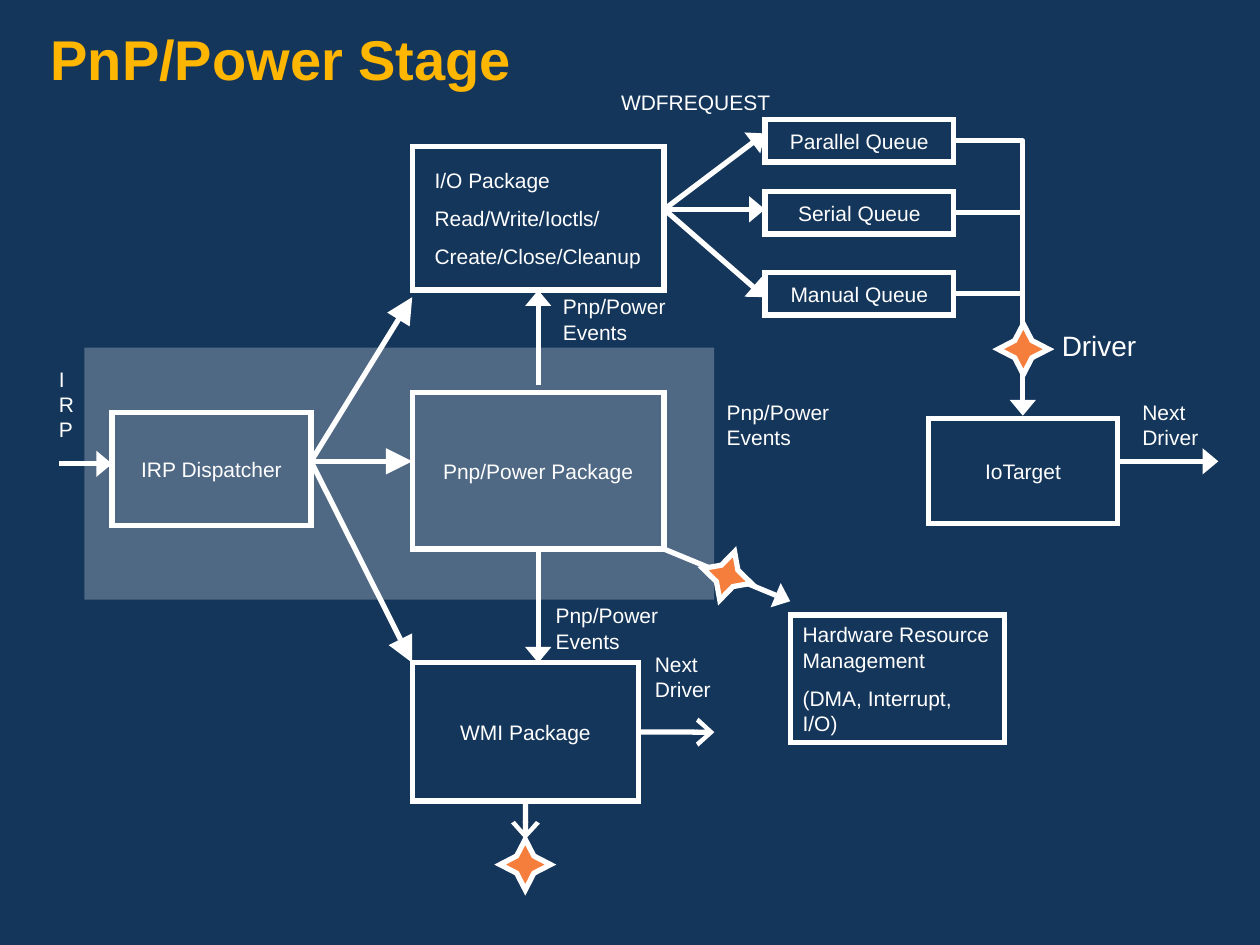
import pptx
import pptx.dml.color
import pptx.enum.shapes
import pptx.enum.text
import pptx.util
import lxml.etree

Cm = pptx.util.Cm
Pt = pptx.util.Pt
RGB = pptx.dml.color.RGBColor
SHAPE = pptx.enum.shapes.MSO_SHAPE
LINK = pptx.enum.shapes.MSO_CONNECTOR
ALIGN = pptx.enum.text.PP_ALIGN
ANCHOR = pptx.enum.text.MSO_ANCHOR
qn = pptx.oxml.ns.qn

COLORS = {"back": "15365B", "white": "FFFFFF", "title": "FFB601", "star": "F67E3C"}
RGBS = {name: RGB.from_string(value) for name, value in COLORS.items()}

prs = pptx.Presentation()
prs.slide_width, prs.slide_height = Cm(25.4), Cm(19.05)
s = prs.slides.add_slide(prs.slide_layouts[6])
s.background.fill.solid()
s.background.fill.fore_color.rgb = RGBS["back"]


def set_text(sp, text, size=12, color="white", bold=False, align=ALIGN.LEFT, before=7.5):
    tf = sp.text_frame
    tf.word_wrap = True
    tf.text = text
    for p in tf.paragraphs:
        p.alignment = align
        p.space_before = Pt(before)
        for r in p.runs:
            r.font.name = "Arial"
            r.font.size = Pt(size)
            r.font.bold = bold
            r.font.color.rgb = RGBS[color]
    return tf


def add_line(x1, y1, x2, y2, head=None, length="med", kind=LINK.STRAIGHT):
    c = s.shapes.add_connector(kind, Cm(x1), Cm(y1), Cm(x2), Cm(y2))
    c.line.color.rgb = RGBS["white"]
    c.line.width = Pt(3)
    if head:
        end = lxml.etree.SubElement(c.line._get_or_add_ln(), qn("a:tailEnd"))
        for key, value in (("type", head), ("w", "lg"), ("len", length)):
            end.set(key, value)
    lxml.etree.SubElement(c._element.spPr, qn("a:effectLst"))
    return c


# Translucent panel behind the stage
panel = s.shapes.add_shape(SHAPE.RECTANGLE, Cm(1.7), Cm(7.01), Cm(12.7), Cm(5.08))
panel.shadow.inherit = False
panel.line.fill.background()
panel.fill.solid()
panel.fill.fore_color.rgb = RGBS["white"]
color = panel._element.spPr.find(".//" + qn("a:srgbClr"))
lxml.etree.SubElement(color, qn("a:alpha")).set("val", "25000")

# Title
title = s.shapes.add_textbox(0, 0, Cm(25.4), Cm(1.9))
tf = set_text(title, "PnP/Power Stage", 32, "title", True, before=0)
tf.margin_left = tf.margin_right = Cm(1.02)
tf.margin_top = Cm(0.64)
tf.paragraphs[0].line_spacing = 0.9

# Boxes
boxes = {}
for name, text, x, y, w, h in [
    ("dispatcher", "IRP Dispatcher", 2.26, 8.31, 4.01, 2.29),
    ("pnp", "Pnp/Power Package", 8.31, 7.92, 5.08, 3.15),
    ("io", "I/O Package\nRead/Write/Ioctls/\nCreate/Close/Cleanup", 8.31, 2.95, 5.08, 2.9),
    ("wmi", "WMI Package", 8.31, 13.36, 4.57, 2.79),
    ("hardware", "Hardware Resource Management\n(DMA, Interrupt, I/O)", 15.93, 12.4, 4.32, 2.57),
    ("parallel", "Parallel Queue", 15.42, 2.41, 3.81, 0.86),
    ("serial", "Serial Queue", 15.42, 3.86, 3.81, 0.86),
    ("manual", "Manual Queue", 15.42, 5.49, 3.81, 0.86),
    ("target", "IoTarget", 18.72, 8.43, 3.81, 2.13),
]:
    sp = s.shapes.add_shape(SHAPE.RECTANGLE, Cm(x), Cm(y), Cm(w), Cm(h))
    sp.shadow.inherit = False
    sp.fill.background()
    sp.line.color.rgb = RGBS["white"]
    sp.line.width = Pt(3)
    tf = set_text(sp, text, align=ALIGN.LEFT if "\n" in text else ALIGN.CENTER)
    tf.vertical_anchor = ANCHOR.MIDDLE
    boxes[name] = sp
boxes["io"].text_frame.margin_left = Cm(0.45)
boxes["io"].text_frame.margin_right = Cm(0.1)

# Dispatcher to the three packages
for y in (9.3, 5.99, 13.36):
    add_line(6.27, 9.3, 8.31, y, "triangle", "lg")

# I/O package to the three queues
for y in (2.69, 4.22, 5.99):
    add_line(13.39, 4.22, 15.42, y, "triangle")

# Queues to the driver and the I/O target
bus = add_line(19.28, 2.84, 20.62, 8.38, "triangle", kind=LINK.ELBOW)
bus._element.spPr.prstGeom.set("prst", "bentConnector2")
for name, y in (("serial", 4.29), ("manual", 5.92)):
    add_line(19.23, y, 20.62, y).begin_connect(boxes[name], 3)

# Events, requests in and requests out
add_line(10.85, 7.77, 10.85, 5.85, "triangle").end_connect(boxes["io"], 2)
add_line(10.85, 11.07, 10.85, 13.36, "triangle").begin_connect(boxes["pnp"], 2)
add_line(13.39, 11.07, 15.93, 12.12, "triangle")
add_line(1.19, 9.35, 2.26, 9.35, "triangle")
add_line(22.53, 9.3, 24.56, 9.3, "triangle")
add_line(12.88, 14.76, 14.4, 14.76, "arrow").begin_connect(boxes["wmi"], 3)

# Driver stars
stars = []
for x, y, turn in ((20.12, 6.53, 0), (14.15, 11.1, 17), (10.08, 16.92, 0)):
    star = s.shapes.add_shape(SHAPE.STAR_4_POINT, Cm(x), Cm(y), Cm(1.02), Cm(1.02))
    star.shadow.inherit = False
    star.adjustments[0] = 0.24
    star.rotation = turn
    star.fill.solid()
    star.fill.fore_color.rgb = RGBS["star"]
    star.line.color.rgb = RGBS["white"]
    star.line.width = Pt(3)
    stars.append(star)
add_line(10.59, 16.15, 10.59, 16.92, "arrow").begin_connect(boxes["wmi"], 2)

# Sharp outline corners
for sp in [*boxes.values(), *stars]:
    miter = lxml.etree.SubElement(sp.line._get_or_add_ln(), qn("a:miter"))
    miter.set("lim", "800000")

# Labels, clear of the arrows and the panel edges
for text, x, y, w, h in [
    ("Next Driver", 22.78, 7.92, 2.03, 1.27),
    ("Next Driver", 12.95, 13.0, 2.03, 1.27),
    ("Pnp/Power Events", 11.1, 5.8, 3.05, 1.27),
    ("Pnp/Power Events", 10.95, 12.03, 3.05, 1.27),
    ("Pnp/Power Events", 14.4, 7.92, 3.05, 1.27),
    ("IRP", 0.94, 7.26, 0.56, 1.78),
]:
    set_text(s.shapes.add_textbox(Cm(x), Cm(y), Cm(w), Cm(h)), text)
for text, x, y, w, h, size in [
    ("WDFREQUEST", 12.12, 1.68, 3.81, 0.76, 12),
    ("Driver", 20.95, 6.5, 2.41, 0.94, 16),
]:
    sp = s.shapes.add_textbox(Cm(x), Cm(y), Cm(w), Cm(h))
    tf = set_text(sp, text, size, align=ALIGN.CENTER)
    tf.vertical_anchor = ANCHOR.MIDDLE

prs.save("out.pptx")
